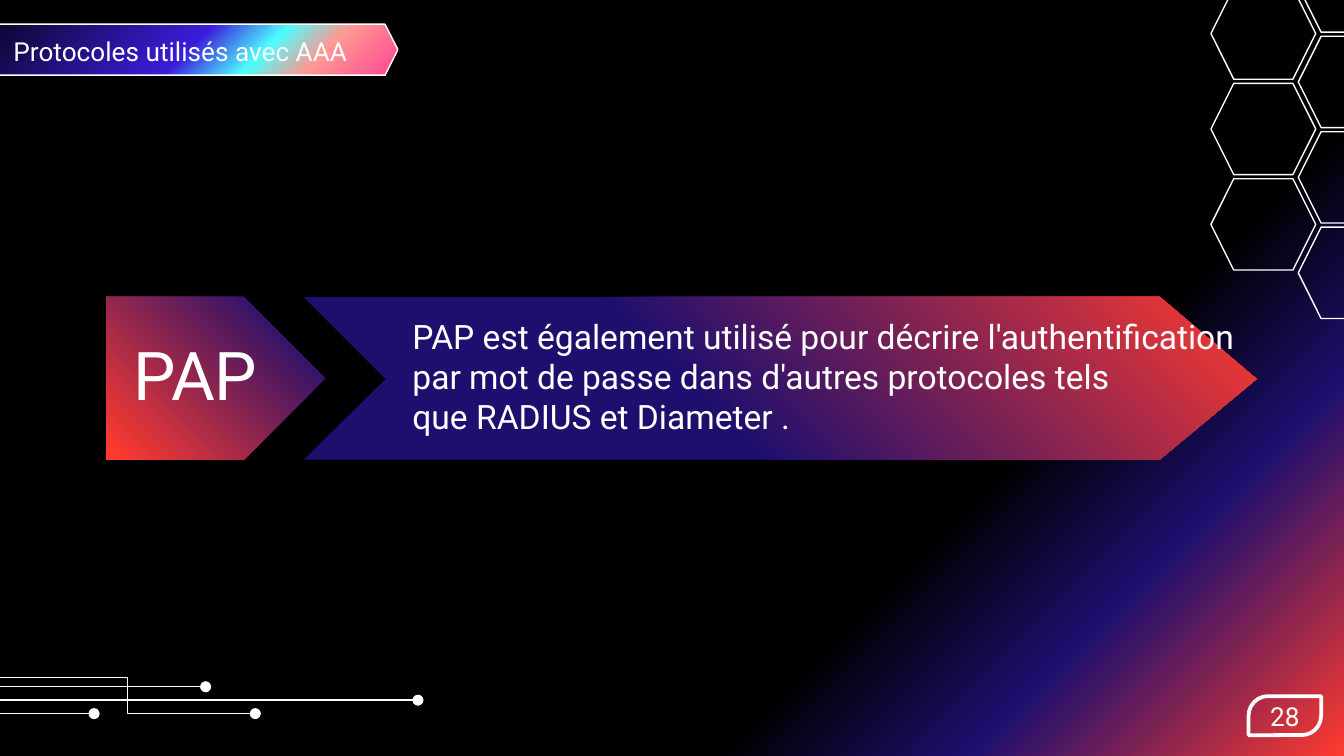
from dataclasses import dataclass

from lxml import etree
from pptx import Presentation
from pptx import util as u
from pptx.dml.color import RGBColor
from pptx.enum import shapes, text
from pptx.oxml.ns import qn

Kind = shapes.MSO_SHAPE
Link = shapes.MSO_CONNECTOR
Anchor = text.MSO_ANCHOR
Align = text.PP_ALIGN


@dataclass(frozen=True)
class Theme:
    font: str = "Roboto"
    white: str = "FFFFFF"
    black: str = "000000"
    red: str = "FF3B2F"
    navy: str = "1D0F6E"
    pink: str = "FF4491"
    coral: str = "FF9A94"
    cyan: str = "4DFFFF"
    blue: str = "3A1DDB"
    small: int = 14
    body: int = 18
    large: int = 36
    thin: float = 0.75
    thick: float = 2


@dataclass(frozen=True)
class Box:
    left: float
    top: float
    width: float
    height: float

    def emu(self) -> list:
        return [u.Inches(v) for v in (self.left, self.top, self.width, self.height)]


@dataclass(frozen=True)
class Blend:
    stops: tuple
    focus: tuple


@dataclass(frozen=True)
class Wire:
    top: float
    right: float
    end: float
    kind: Link = Link.STRAIGHT


T = Theme()
GLOW = Blend(((0, T.red), (18, T.navy), (30, T.black), (100, T.black)), (100, 100, 0, 0))
LABEL = Blend(((3, T.red), (88, T.navy)), (0, 100, 100, 0))
BANNER = Blend(
    ((0, T.pink), (19, T.coral), (31, T.cyan), (46, T.blue), (100, T.black)),
    (100, 100, 0, 0),
)
ARROW = Blend(((0, T.red), (59, T.navy)), (100, 0, 0, 100))
WIRES = (
    Wire(5.21, 3.11, 5.21),
    Wire(5.04, 1.9, 5.31, Link.ELBOW),
    Wire(5.11, 1.53, 5.11),
    Wire(5.31, 0.7, 5.31),
)
HARD = chr(160)
TERMS = HARD.join(("que", "RADIUS", "et", "Diameter", ".", ""))


def blend(fill, root, look: Blend) -> None:
    fill.gradient()
    grad = root.find(".//" + qn("a:gradFill"))
    for child in list(grad):
        grad.remove(child)
    stops = etree.SubElement(grad, qn("a:gsLst"))
    for pos, tone in look.stops:
        stop = etree.SubElement(stops, qn("a:gs"), pos=str(pos * 1000))
        etree.SubElement(stop, qn("a:srgbClr"), val=tone)
    path = etree.SubElement(grad, qn("a:path"), path="circle")
    sides = {k: str(v * 1000) for k, v in zip("ltrb", look.focus)}
    etree.SubElement(path, qn("a:fillToRect"), **sides)


def style(shape, look: Blend | None = None, line: float = 0):
    shape.shadow.inherit = False
    if look:
        blend(shape.fill, shape.element, look)
    else:
        shape.fill.background()
    if line:
        shape.line.color.rgb = RGBColor.from_string(T.white)
        shape.line.width = u.Pt(line)
    else:
        shape.line.fill.background()
    return shape


def draw(slide, kind: Kind, box: Box, look: Blend | None = None, line: float = 0):
    return style(slide.shapes.add_shape(kind, *box.emu()), look, line)


def write(shape, words: str, *, size: int, align=Align.LEFT, anchor=Anchor.MIDDLE,
          inset: float | None = None, space: float = 1) -> None:
    frame = shape.text_frame
    frame.word_wrap = True
    frame.auto_size = text.MSO_AUTO_SIZE.NONE
    frame.vertical_anchor = anchor
    if inset is not None:
        frame.margin_left = frame.margin_right = u.Inches(inset)
        frame.margin_top = frame.margin_bottom = u.Inches(inset)
    para = frame.paragraphs[0]
    para.alignment = align
    para.line_spacing = space
    para.space_before = u.Pt(0)
    run = para.add_run()
    run.text = words
    run.font.name = T.font
    run.font.size = u.Pt(size)
    run.font.color.rgb = RGBColor.from_string(T.white)


def comb(slide) -> None:
    pitch = 0.71
    for left, top, count in ((9.66, -0.44, 4), (9.01, -0.09, 3)):
        for row in range(count):
            draw(slide, Kind.HEXAGON, Box(left, top + row * pitch, 0.78, 0.68), line=T.thin)


def wire(slide, item: Wire) -> None:
    ends = [u.Inches(v) for v in (0, item.top, item.right, item.end)]
    link = slide.shapes.add_connector(item.kind, *ends)
    link.line.color.rgb = RGBColor.from_string(T.white)
    link.line.width = u.Pt(T.thin)
    outline = link.element.spPr.find(qn("a:ln"))
    etree.SubElement(outline, qn("a:tailEnd"), type="oval")
    etree.SubElement(link.element.spPr, qn("a:effectLst"))


def arrow(slide) -> None:
    left, top, neck, tip, base = 2.26, 2.21, 8.63, 9.35, 3.42
    mid = 2.82
    pen = slide.shapes.build_freeform(u.Inches(left), u.Inches(top))
    spots = ((neck, top), (tip, mid), (neck, base), (left, base), (2.87, mid))
    pen.add_line_segments([(u.Inches(x), u.Inches(y)) for x, y in spots], close=True)
    style(pen.convert_to_shape(), ARROW)


def main() -> None:
    deck = Presentation()
    deck.slide_width = u.Inches(10)
    deck.slide_height = deck.slide_width * 9 // 16
    slide = deck.slides.add_slide(deck.slide_layouts[5])
    blend(slide.background.fill, slide.element, GLOW)
    comb(slide)
    for item in WIRES:
        wire(slide, item)

    label = draw(slide, Kind.PENTAGON, Box(0.79, 2.21, 1.63, 1.21), LABEL)
    write(label, "PAP", size=T.large, align=Align.CENTER, inset=0.17, space=0.9)

    draw(slide, Kind.HEXAGON, Box(-0.46, 0.18, 3.42, 0.38), BANNER, T.thin)
    title = slide.shapes.title
    title.left, title.top, title.width, title.height = Box(0, 0.15, 3.58, 0.45).emu()
    slide.shapes.element.append(title.element)
    write(title, "Protocoles utilisés avec AAA", size=T.small, anchor=Anchor.BOTTOM, inset=0.1)

    arrow(slide)
    body = draw(slide, Kind.PENTAGON, Box(2.97, 2.3, 6.72, 1.01))
    write(body, "PAP est également utilisé pour décrire l'authentification par mot de passe "
          f"dans d'autres protocoles tels {TERMS}", size=T.body, anchor=Anchor.TOP)

    badge = draw(slide, Kind.ROUND_2_DIAG_RECTANGLE, Box(9.29, 5.18, 0.54, 0.29), line=T.thick)
    badge.adjustments[0] = 0.5
    write(badge, "28", size=T.small, align=Align.CENTER)
    deck.save("out.pptx")


if __name__ == "__main__":
    main()
